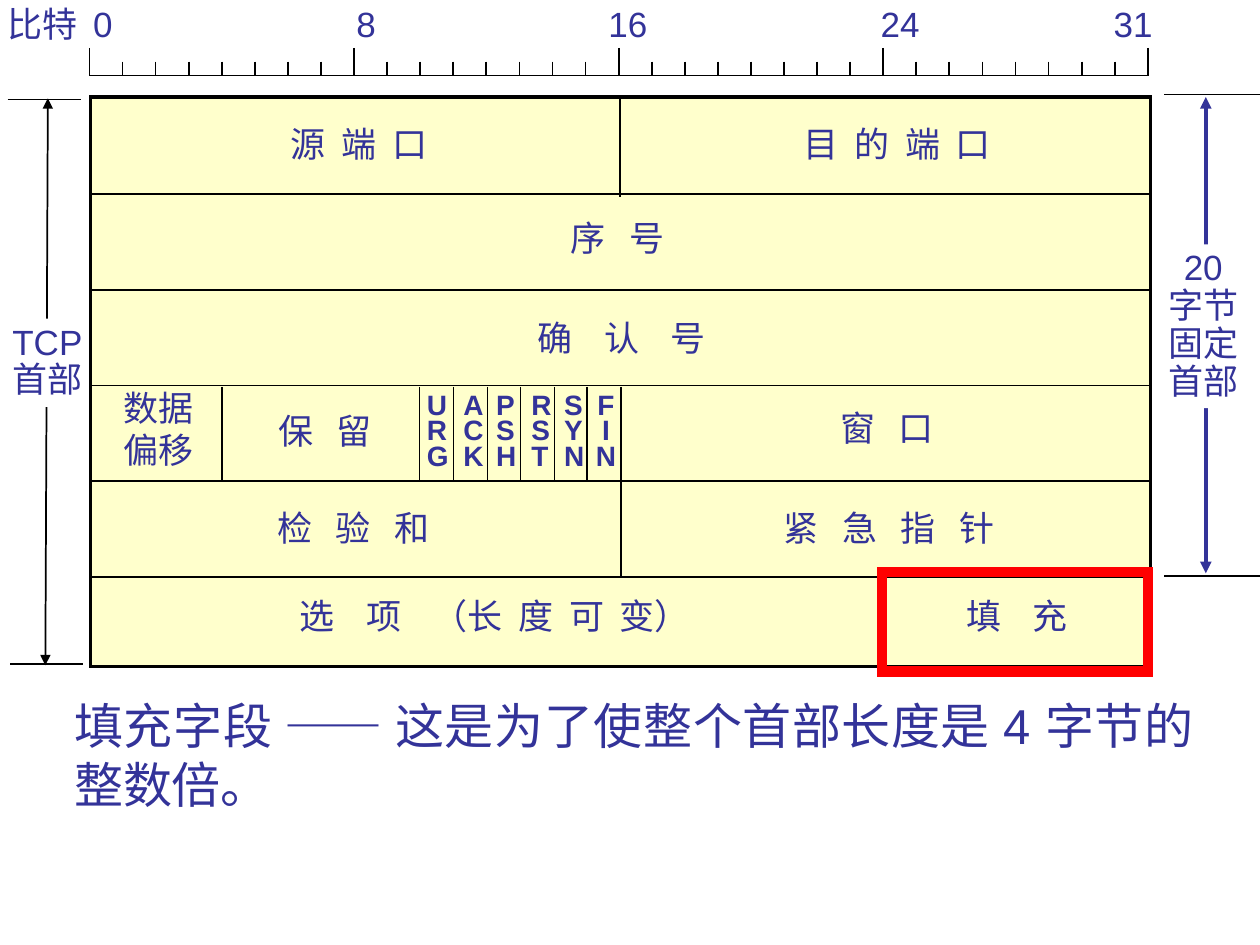
from dataclasses import dataclass

from lxml import etree
from pptx import Presentation
from pptx.dml.color import RGBColor
from pptx.enum.shapes import MSO_CONNECTOR, MSO_SHAPE
from pptx.enum.text import MSO_ANCHOR, MSO_AUTO_SIZE, PP_ALIGN
from pptx.oxml.ns import qn
from pptx.util import Inches, Pt

STRAIGHT = MSO_CONNECTOR.STRAIGHT
RECTANGLE = MSO_SHAPE.RECTANGLE
TOP = MSO_ANCHOR.TOP
GROW = MSO_AUTO_SIZE.SHAPE_TO_FIT_TEXT
LEFT, CENTER, JUSTIFY = PP_ALIGN.LEFT, PP_ALIGN.CENTER, PP_ALIGN.JUSTIFY


@dataclass(frozen=True)
class Theme:
    ink: str = "333399"
    rule: str = "000000"
    paper: str = "FFFFFF"
    field: str = "FFFFCC"
    accent: str = "FF0000"
    font: str = "Arial"
    flag_size: int = 16
    label_size: int = 20
    note_size: int = 28


def write_text(box, text, *, theme, size, bold=False, align=LEFT, spacing=1.0, wrap=False):
    frame = box.text_frame
    frame.word_wrap = wrap
    frame.auto_size = GROW
    frame.vertical_anchor = TOP
    for index, content in enumerate(text.split("\n")):
        para = frame.paragraphs[0] if index == 0 else frame.add_paragraph()
        para.alignment = align
        para.line_spacing = spacing
        span = para.add_run()
        span.text = content
        span.font.name = theme.font
        span.font.size = Pt(size)
        span.font.bold = bold
        span.font.color.rgb = RGBColor.from_string(theme.ink)


class HeaderPage:
    def __init__(self, page, theme):
        self.page = page
        self.theme = theme

    def line(self, x1, y1, x2, y2, color=None, width=1, arrows=False):
        link = self.page.shapes.add_connector(
            STRAIGHT, Inches(x1), Inches(y1), Inches(x2), Inches(y2))
        link.line.color.rgb = RGBColor.from_string(color or self.theme.rule)
        link.line.width = Pt(width)
        if arrows:
            outline = link.line._get_or_add_ln()
            for end in ("a:headEnd", "a:tailEnd"):
                etree.SubElement(outline, qn(end), type="triangle")
        etree.SubElement(link._element.spPr, qn("a:effectLst"))

    def rectangle(self, left, top, width, height, fill=None, color=None, weight=1):
        box = self.page.shapes.add_shape(
            RECTANGLE, Inches(left), Inches(top), Inches(width), Inches(height))
        box.shadow.inherit = False
        if fill:
            box.fill.solid()
            box.fill.fore_color.rgb = RGBColor.from_string(fill)
        else:
            box.fill.background()
        if color:
            box.line.color.rgb = RGBColor.from_string(color)
            box.line.width = Pt(weight)
            etree.SubElement(box.line._get_or_add_ln(), qn("a:miter"), lim="800000")
        else:
            box.line.fill.background()
        return box

    def text(self, text, left, top, width, height=0.43, size=None, **style):
        box = self.page.shapes.add_textbox(
            Inches(left), Inches(top), Inches(width), Inches(height))
        write_text(box, text, theme=self.theme, size=size or self.theme.label_size, **style)

    def side_label(self, text, left, top, width, height, align=LEFT):
        box = self.rectangle(left, top, width, height, fill=self.theme.paper)
        write_text(box, text, theme=self.theme, size=self.theme.label_size,
                   align=align, spacing=0.9)


def draw_extents(header):
    theme = header.theme
    header.line(0.38, 0.78, 0.36, 5.28, arrows=True)
    header.side_label("TCP\n首部", 0, 2.53, 0.76, 0.7)
    header.line(9.57, 0.77, 9.57, 4.55, color=theme.ink, width=2.25, arrows=True)
    header.side_label("20\n字节\n固定\n首部", 9.17, 1.94, 0.76, 1.3, align=CENTER)
    for left, right, y in ((0.06, 0.64, 0.79), (0.08, 0.66, 5.27),
                           (9.24, 10, 0.75), (9.24, 10, 4.57)):
        header.line(left, y, right, y)


def draw_ruler(header):
    start, length, base, bits = 0.71, 8.4, 0.6, 32
    header.line(start, base, start + length, base)
    for bit in range(bits + 1):
        x = start + length * bit / bits
        header.line(x, 0.38 if bit % 8 == 0 else 0.49, x, base)
    labels = (("比特", -0.04, 0.76), ("0", 0.64, 0.36), ("8", 2.73, 0.36),
              ("16", 4.73, 0.51), ("24", 6.89, 0.51), ("31", 8.74, 0.51))
    for text, left, width in labels:
        header.text(text, left, -0.03, width)


def draw_fields(header):
    theme = header.theme
    left, right, first_row, row_height = 0.72, 9.13, 1.54, 0.76
    header.rectangle(left, 0.77, right - left, 4.52, theme.field, theme.rule, 2)
    for row in range(5):
        y = first_row + row * row_height
        header.line(left, y, right, y)
    header.line(4.92, 0.78, 4.92, 1.56)
    header.line(4.93, 3.07, 4.93, 4.57)
    header.line(7.01, 4.6, 7, 5.3)
    for x in (1.76, 3.33, 3.6, 3.87, 4.13, 4.4, 4.66):
        header.line(x, 3.07, x, 3.82)

    fields = (
        ("源  端  口", 2.21, 0.92, 1.4),
        ("目  的  端  口", 6.28, 0.92, 1.8),
        ("序   号", 4.43, 1.67, 1.51),
        ("确    认    号", 4.17, 2.46, 2.01),
        ("保   留", 2.11, 3.2, 1.1),
        ("窗   口", 6.57, 3.18, 1.1),
        ("检   验   和", 2.1, 3.97, 1.55),
        ("紧   急   指   针", 6.12, 3.97, 2),
        ("选    项    （长  度  可  变）", 2.28, 4.67, 3.5),
        ("填    充", 7.57, 4.67, 1.37),
    )
    for text, x, y, width in fields:
        header.text(text, x, y, width, wrap=True)
    header.text("数据\n偏移", 0.88, 3.02, 0.76, 0.76)

    flags = (("URG", 3.29), ("ACK", 3.58), ("PSH", 3.84),
             ("RST", 4.12), ("SYN", 4.38), ("FIN", 4.63))
    for flag, x in flags:
        header.text("\n".join(flag), x, 3.09, 0.36, 0.7, size=theme.flag_size, bold=True,
                    spacing=0.75, align=CENTER if flag == "FIN" else LEFT)


def main():
    deck = Presentation()
    deck.slide_width, deck.slide_height = Inches(10), Inches(7.5)
    theme = Theme()
    header = HeaderPage(deck.slides.add_slide(deck.slide_layouts[6]), theme)
    draw_extents(header)
    draw_fields(header)
    draw_ruler(header)
    header.rectangle(7, 4.54, 2.11, 0.79, color=theme.accent, weight=6)
    header.text("填充字段 —— 这是为了使整个首部长度是 4 字节的整数倍。", 0.49, 5.47, 9.08, 1.04,
                size=theme.note_size, align=JUSTIFY, wrap=True)
    deck.save("out.pptx")


if __name__ == "__main__":
    main()
